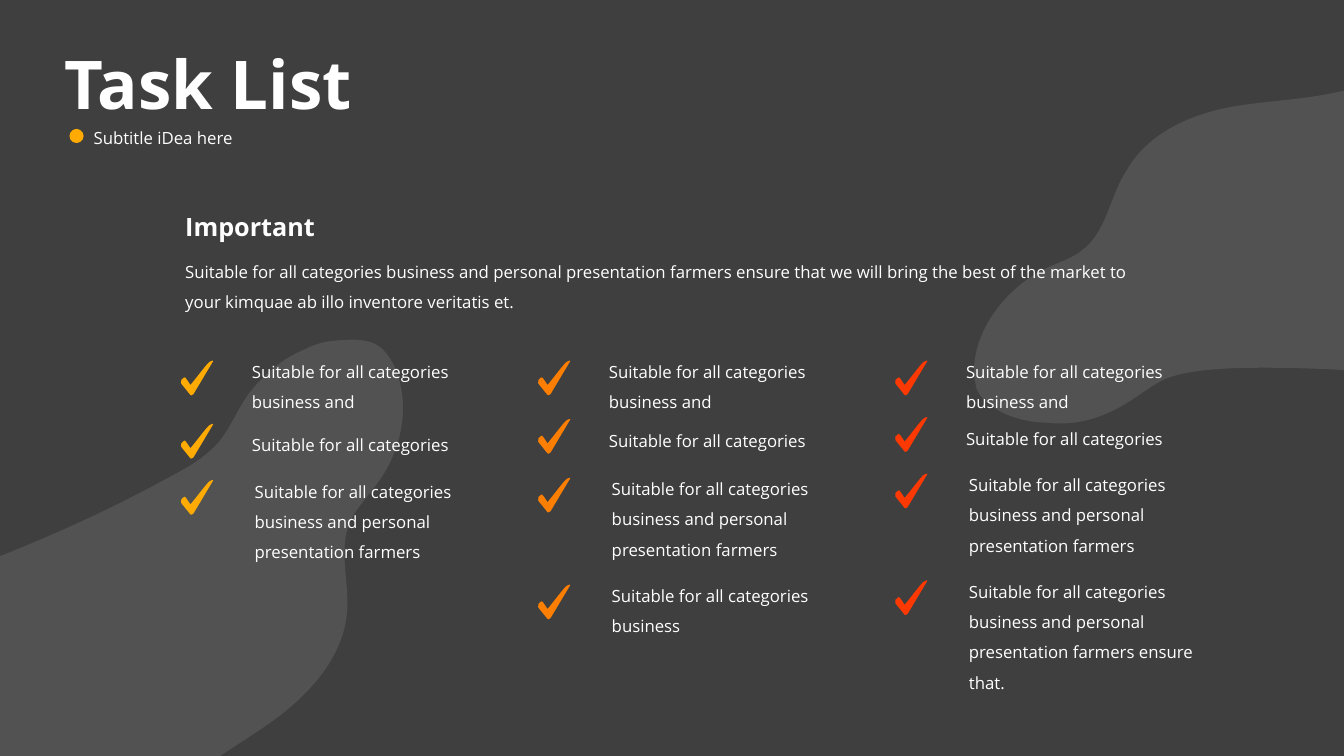
from pptx import Presentation
from pptx.dml.color import RGBColor
from pptx.enum import shapes, text
from pptx.oxml.ns import qn
from pptx.util import Pt
from lxml import etree

DARK = RGBColor(0x3F, 0x3F, 0x3F)
GRAY = RGBColor(0x7F, 0x7F, 0x7F)
WHITE = RGBColor(0xFF, 0xFF, 0xFF)
GOLD = RGBColor(0xFF, 0xAB, 0x03)
ORANGE = RGBColor(0xFC, 0x7F, 0x03)
RED = RGBColor(0xFC, 0x39, 0x03)
FONT = "Open Sans"
LINE = 21.6
PAD = 7.2

LEFT = [
    (217, 250), (202, 256, 188, 268, 178, 281),
    (170, 292, 165, 305, 157, 315), (146, 328, 132, 335, 117, 343),
    (53, 378, -16, 405, -86, 429), (-113, 438, -141, 449, -164, 466),
    (-184, 485), (-138, 589), (99, 649),
    (89, 621, 104, 587, 125, 566), (147, 544, 175, 530, 199, 512),
    (224, 493, 246, 467, 248, 437), (250, 415, 241, 391, 251, 371),
    (255, 363, 261, 357, 266, 350), (287, 325, 295, 289, 281, 260),
    (279, 256, 276, 252, 273, 249), (266, 243, 256, 242, 246, 243),
    (236, 243, 226, 245, 217, 250)]
RIGHT = [
    (749, 302), (766, 304, 783, 300, 798, 292),
    (810, 286, 820, 277, 832, 271), (847, 265, 864, 264, 881, 263),
    (954, 261, 1027, 269, 1100, 278), (1129, 281, 1158, 286, 1187, 280),
    (1213, 272), (1218, 158), (1033, -2),
    (1030, 29, 1002, 51, 973, 61), (944, 71, 912, 71, 882, 76),
    (852, 81, 820, 95, 805, 122), (793, 140, 791, 166, 773, 179),
    (767, 184, 758, 187, 749, 191), (721, 204, 697, 233, 696, 264),
    (696, 269, 697, 274, 698, 278), (702, 287, 711, 292, 719, 296),
    (729, 300, 739, 302, 749, 302)]
TICK = [
    (20.9, 2.2), (19.4, 2.9, 11.5, 13.7, 7.2, 18.7), (4.3, 14.4),
    (3.6, 13.7, 2.9, 12.2, 2.2, 13.7), (0.7, 15.1),
    (0, 16.6, 0.7, 18.7, 1.4, 18.7), (7.2, 25.9),
    (7.2, 26.6, 8.6, 25.9, 9.4, 25.2), (22.3, 3.6),
    (23, 2.2, 25.2, 0, 20.9, 2.2)]

BASE = "Suitable for all categories"
LONG = BASE + " business and personal presentation farmers"
FIRST = (BASE + " business and", 2)
NEXT = (BASE, 1)
THIRD = (LONG, 3)
TASKS = [
    (GOLD, [(256.3, FIRST), (301.5, NEXT), (341.6, THIRD)]),
    (ORANGE, [(256.3, FIRST), (298, NEXT), (340, THIRD),
              (416.3, (BASE + " business", 2))]),
    (RED, [(256.3, FIRST), (296.7, NEXT), (337, THIRD),
           (413.3, (LONG + " ensure that.", 4))])]


def paint(shape, color):
    shape.shadow.inherit = False
    shape.fill.solid()
    shape.fill.fore_color.rgb = color
    shape.line.fill.background()


def bend(shape, steps):
    lines = iter(list(shape._element.iter(qn("a:lnTo"))))
    for step in steps[1:]:
        line = next(lines)
        if len(step) == 6:
            line.tag = qn("a:cubicBezTo")
            for _ in range(2):
                extra = next(lines)
                line.append(extra[0])
                extra.getparent().remove(extra)


def outline(slide, steps, color, left=0, top=0):
    pts = [(Pt(left + x), Pt(top + y)) for step in steps
           for x, y in zip(step[::2], step[1::2])]
    form = slide.shapes.build_freeform(*pts[0], scale=1.0)
    form.add_line_segments(pts[1:], close=True)
    shape = form.convert_to_shape()
    bend(shape, steps)
    paint(shape, color)
    return shape


def write(slide, words, box, size=12, bold=False, space=1.0,
          mid=False, grow=False):
    frame = slide.shapes.add_textbox(*map(Pt, box)).text_frame
    frame.word_wrap = True
    if mid:
        frame.vertical_anchor = text.MSO_ANCHOR.MIDDLE
    if grow:
        frame.auto_size = text.MSO_AUTO_SIZE.SHAPE_TO_FIT_TEXT
    para = frame.paragraphs[0]
    para.line_spacing = space
    run = para.add_run()
    run.text = words
    font = run.font
    font.name, font.size, font.bold = FONT, Pt(size), bold
    font.color.rgb = WHITE


def backdrop(slide):
    slide.background.fill.solid()
    slide.background.fill.fore_color.rgb = DARK
    for steps in (LEFT, RIGHT):
        blob = outline(slide, steps, GRAY)
        tint = blob._element.spPr.find(qn("a:solidFill"))[0]
        etree.SubElement(tint, qn("a:alpha"), val="30000")


def header(slide, x, y):
    dot = slide.shapes.add_shape(shapes.MSO_SHAPE.OVAL, Pt(x + 10.8),
                                 Pt(y + 69.8), Pt(10.1), Pt(10.1))
    paint(dot, GOLD)
    write(slide, "Task List", (x, y, 468.7, 81.4), size=48, bold=True,
          space=0.9, mid=True)
    write(slide, "Subtitle iDea here", (x + 20.9, y + 67, 172.8, 20.2),
          space=0.9)


def intro(slide, x, y):
    write(slide, "Important", (x, y, 159.8, 28.8), size=18, bold=True,
          mid=True, grow=True)
    write(slide, "Suitable for all categories business and personal "
          "presentation farmers ensure that we will bring the best of the "
          "market to your kimquae ab illo inventore veritatis et.",
          (x, y + 28.8, 709.9, PAD + 2 * LINE), space=1.5, grow=True)


def column(slide, x, color, rows):
    for i, (y, (words, lines)) in enumerate(rows):
        outline(slide, TICK, color, x, y)
        indent = 44 if i < 2 else 46
        rise = 1.4 if lines == 1 else 8.6
        write(slide, words, (x + indent, y - rise, 201.3, PAD + lines * LINE),
              space=1.5, grow=True)


def main():
    deck = Presentation()
    deck.slide_width, deck.slide_height = Pt(960.5), Pt(540)
    slide = deck.slides.add_slide(deck.slide_layouts[6])
    backdrop(slide)
    header(slide, 38.9, 22.3)
    intro(slide, 125.3, 147.6)
    for i, (color, rows) in enumerate(TASKS):
        column(slide, 128.9 + 255.2 * i, color, rows)
    deck.save("out.pptx")


if __name__ == "__main__":
    main()
